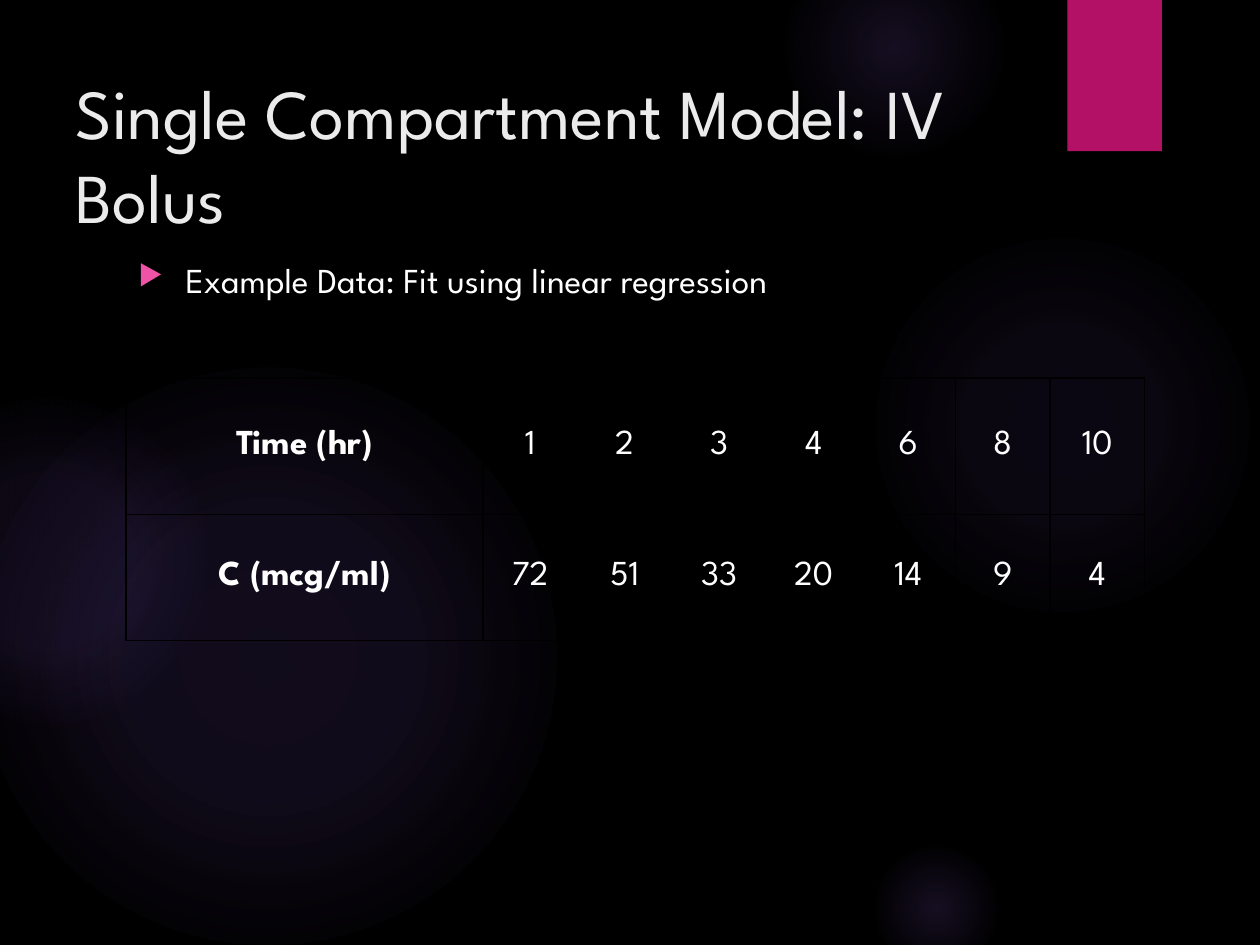
from lxml import etree
from pptx import Presentation
from pptx.dml.color import RGBColor
from pptx.enum.shapes import MSO_SHAPE
from pptx.enum.text import MSO_ANCHOR, PP_ALIGN
from pptx.oxml import parse_xml
from pptx.oxml.ns import nsdecls, qn
from pptx.util import Pt

OVAL = MSO_SHAPE.OVAL
RECTANGLE = MSO_SHAPE.RECTANGLE
TOP = MSO_ANCHOR.TOP
MIDDLE = MSO_ANCHOR.MIDDLE
CENTER = PP_ALIGN.CENTER

BLACK = RGBColor(0x00, 0x00, 0x00)
WHITE = RGBColor(0xFF, 0xFF, 0xFF)
TITLE_GRAY = RGBColor(0xEB, 0xEB, 0xEB)
MAGENTA = RGBColor(0xB3, 0x11, 0x66)
BULLET_PINK = RGBColor(0xEF, 0x53, 0xA5)
GLOW_VIOLET = RGBColor(0x9B, 0x6B, 0xF2)

FONT = "League Spartan"
HANGING = 27

# Left, top, diameter, then center opacity, mid opacity and fade-out position (%)
GLOWS = [
    (496, 132, 222, 7, 6, 69),
    (448, -36, 126, 14, 7, 73),
    (496, 480, 78, 14, 7, 66),
    (-12, 210, 330, 11, 10, 75),
    (-66, 228, 186, 8, 8, 72),
]
MID_POSITION = 36

DATA = [
    ("Time (hr)", 1, 2, 3, 4, 6, 8, 10),
    ("C (mcg/ml)", 72, 51, 33, 20, 14, 9, 4),
]
LABEL_WIDTH, VALUE_WIDTH = 204, 54
ROW_HEIGHTS = (78, 72)


def add_plain_shape(slide, kind, left, top, width, height):
    shape = slide.shapes.add_shape(kind, Pt(left), Pt(top), Pt(width), Pt(height))
    shape.shadow.inherit = False
    shape.line.fill.background()
    return shape


def add_glow(slide, left, top, diameter, center, middle, fade):
    shape = add_plain_shape(slide, OVAL, left, top, diameter, diameter)
    stops = "".join(
        f'<a:gs pos="{position * 1000}"><a:srgbClr val="{GLOW_VIOLET}">'
        f'<a:alpha val="{opacity * 1000}"/></a:srgbClr></a:gs>'
        for position, opacity in ((0, center), (MID_POSITION, middle), (fade, 0))
    )
    gradient = parse_xml(
        f'<a:gradFill {nsdecls("a")}><a:gsLst>{stops}</a:gsLst><a:path path="circle">'
        '<a:fillToRect l="50000" t="50000" r="50000" b="50000"/></a:path></a:gradFill>'
    )
    shape.fill.background()
    properties = shape.fill._xPr
    properties.replace(properties.find(qn("a:noFill")), gradient)


def style_text(paragraph, text, size, color, bold=False):
    paragraph.text = text
    font = paragraph.font
    font.name, font.size, font.bold = FONT, Pt(size), bold
    font.color.rgb = color


def add_text(slide, text, left, top, width, height, size, color):
    box = slide.shapes.add_textbox(Pt(left), Pt(top), Pt(width), Pt(height))
    frame = box.text_frame
    frame.word_wrap = True
    frame.vertical_anchor = TOP
    paragraph = frame.paragraphs[0]
    style_text(paragraph, text, size, color)
    return paragraph


def set_hanging_indent(paragraph):
    properties = paragraph._p.get_or_add_pPr()
    properties.set("marL", str(Pt(HANGING)))
    properties.set("indent", str(-Pt(HANGING)))
    return properties


def add_bullet(paragraph):
    properties = set_hanging_indent(paragraph)
    paragraph.space_before = Pt(10)
    bullet = parse_xml(
        f'<a:pPr {nsdecls("a")}><a:buClr><a:srgbClr val="{BULLET_PINK}"/></a:buClr>'
        '<a:buSzPct val="80000"/><a:buChar char="▶"/></a:pPr>'
    )
    # Bullet settings come before the default run properties
    defaults = properties.find(qn("a:defRPr"))
    for element in list(bullet):
        defaults.addprevious(element)


def set_borders(cell):
    properties = cell._tc.get_or_add_tcPr()
    for side in ("lnL", "lnR", "lnT", "lnB"):
        line = etree.SubElement(properties, qn(f"a:{side}"), w=str(Pt(0.75)))
        fill = etree.SubElement(line, qn("a:solidFill"))
        etree.SubElement(fill, qn("a:srgbClr"), val=str(BLACK))


def add_data_table(slide, left, top):
    columns = len(DATA[0])
    width = LABEL_WIDTH + VALUE_WIDTH * (columns - 1)
    frame = slide.shapes.add_table(
        len(DATA), columns, Pt(left), Pt(top), Pt(width), Pt(sum(ROW_HEIGHTS))
    )
    table = frame.table
    table.first_row = table.horz_banding = False
    for index, column in enumerate(table.columns):
        column.width = Pt(VALUE_WIDTH if index else LABEL_WIDTH)
    for row_index, values in enumerate(DATA):
        table.rows[row_index].height = Pt(ROW_HEIGHTS[row_index])
        for column_index, value in enumerate(values):
            cell = table.cell(row_index, column_index)
            set_borders(cell)
            cell.fill.background()
            cell.vertical_anchor = MIDDLE
            paragraph = cell.text_frame.paragraphs[0]
            style_text(paragraph, str(value), 20, WHITE, bold=column_index == 0)
            paragraph.alignment = CENTER
            set_hanging_indent(paragraph)


def main():
    presentation = Presentation()
    presentation.slide_width, presentation.slide_height = Pt(720), Pt(540)
    slide = presentation.slides.add_slide(presentation.slide_layouts[6])

    # Background with soft glows and the corner tab
    background = slide.background.fill
    background.solid()
    background.fore_color.rgb = BLACK
    for glow in GLOWS:
        add_glow(slide, *glow)
    tab = add_plain_shape(slide, RECTANGLE, 610, 0, 54, 86.4)
    tab.fill.solid()
    tab.fill.fore_color.rgb = MAGENTA

    # Title and bullet
    add_text(slide, "Single Compartment Model: IV Bolus", 36, 36, 576, 90, 40, TITLE_GRAY)
    add_bullet(add_text(slide, "Example Data: Fit using linear regression",
                        72, 144, 576, 360, 20, WHITE))

    # Concentration over time
    add_data_table(slide, 72, 216)
    presentation.save("out.pptx")


if __name__ == "__main__":
    main()
